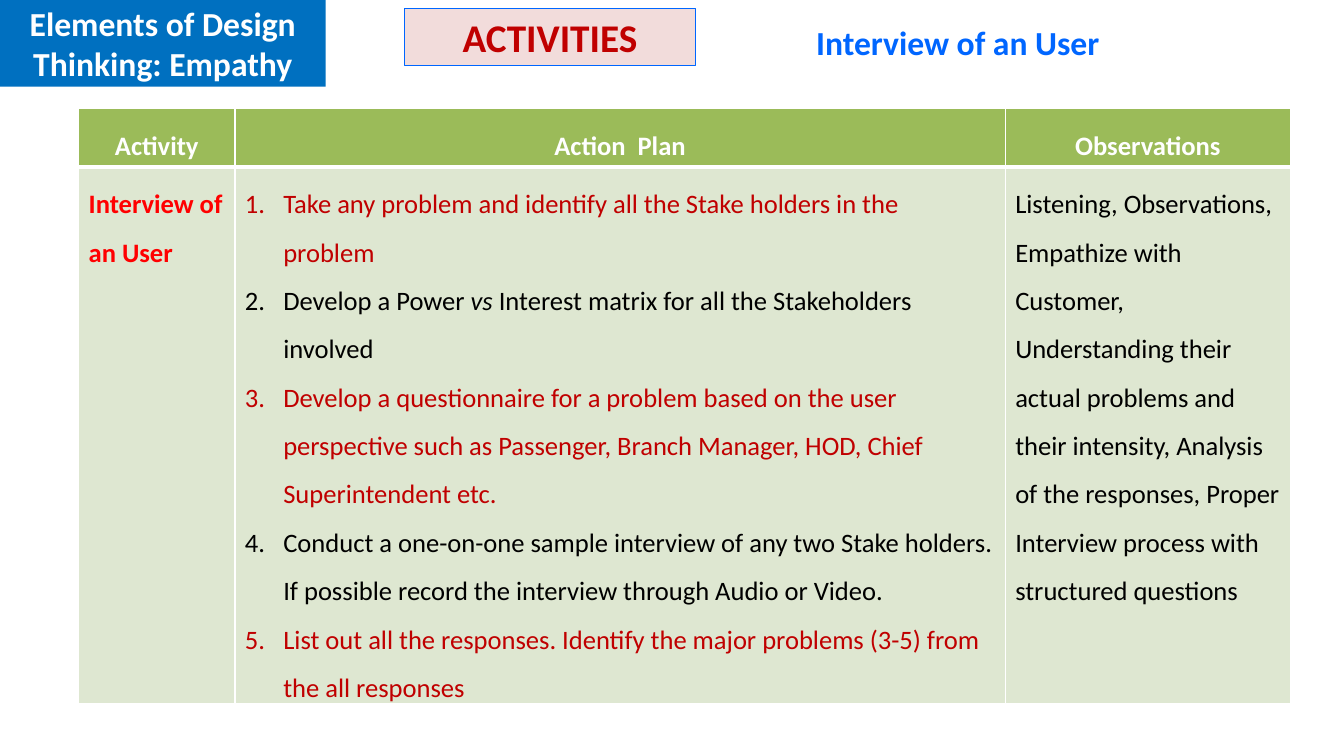
from lxml.etree import SubElement
from pptx import Presentation
from pptx.dml.color import RGBColor
from pptx.enum.shapes import MSO_SHAPE
from pptx.enum.text import MSO_ANCHOR, PP_ALIGN
from pptx.oxml.ns import qn
from pptx.util import Inches, Pt

WHITE = RGBColor(0xFF, 0xFF, 0xFF)
BLACK = RGBColor(0, 0, 0)
RED = RGBColor(0xFF, 0, 0)
DARK_RED = RGBColor(0xC0, 0, 0)
PINK = RGBColor(0xF2, 0xDC, 0xDB)
BLUE = RGBColor(0x00, 0x70, 0xC0)
BRIGHT_BLUE = RGBColor(0x00, 0x66, 0xFF)
GREEN = RGBColor(0x9B, 0xBB, 0x59)
PALE_GREEN = RGBColor(0xDE, 0xE7, 0xD1)

FONT = "Calibri"
TABLE_SIZE = 19
COLUMNS = (1.55, 7.64, 2.83)
ROWS = (0.58, 5.32)
HEADINGS = ("Activity", "Action  Plan", "Observations")
ACTIVITY = "Interview of an User"
# Each step is a list of spans; every second span is italic
STEPS = (
    ["Take any problem and identify all the Stake holders in the problem"],
    ["Develop a Power ", "vs", " Interest matrix for all the Stakeholders involved"],
    ["Develop a questionnaire for a problem based on the user perspective such as "
     "Passenger, Branch Manager, HOD, Chief Superintendent etc."],
    ["Conduct a one-on-one sample interview of any two Stake holders. "
     "If possible record the interview through Audio or Video."],
    ["List out all the responses. Identify the major problems (3-5) from the all responses"],
)
OBSERVATIONS = (
    "Listening, Observations, Empathize with Customer, Understanding their actual "
    "problems and their intensity, Analysis of the responses, Proper Interview "
    "process with structured questions"
)


def style_span(span, size, color, bold=False, italic=False):
    font = span.font
    font.name, font.size = FONT, Pt(size)
    font.bold, font.italic = bold, italic
    font.color.rgb = color


def add_label(slide, box, text, size, color, fill=None, line=None, anchor=MSO_ANCHOR.TOP):
    """Centred bold text, on a rectangle when a fill is given."""
    place = [Inches(length) for length in box]
    if fill is None:
        label = slide.shapes.add_textbox(*place)
    else:
        label = slide.shapes.add_shape(MSO_SHAPE.RECTANGLE, *place)
        label.shadow.inherit = False
        label.fill.solid()
        label.fill.fore_color.rgb = fill
        if line is None:
            label.line.fill.background()
        else:
            label.line.color.rgb = line
            label.line.width = Pt(0.75)
    frame = label.text_frame
    frame.word_wrap = True
    frame.vertical_anchor = anchor
    frame.text = text
    para = frame.paragraphs[0]
    para.alignment = PP_ALIGN.CENTER
    style_span(para.runs[0], size, color, bold=True)


def paint_cell(cell, fill, bottom_width):
    """White borders, then the fill, in the order the schema asks for."""
    properties = cell._tc.get_or_add_tcPr()
    for side, width in (("L", 1), ("R", 1), ("T", 1), ("B", bottom_width)):
        border = SubElement(properties, qn(f"a:ln{side}"), w=str(Pt(width)))
        solid = SubElement(border, qn("a:solidFill"))
        SubElement(solid, qn("a:srgbClr"), val=str(WHITE))
    cell.fill.solid()
    cell.fill.fore_color.rgb = fill


def write_cell(cell, text, color, bold=False, align=PP_ALIGN.LEFT):
    cell.text_frame.text = text
    para = cell.text_frame.paragraphs[0]
    para.alignment = align
    para.line_spacing = 1.5
    style_span(para.runs[0], TABLE_SIZE, color, bold)


def write_steps(cell):
    """Numbered list with alternating colours."""
    frame = cell.text_frame
    indent = Inches(0.38)
    for index, step in enumerate(STEPS):
        para = frame.add_paragraph() if index else frame.paragraphs[0]
        para.line_spacing = 1.5
        color = BLACK if index % 2 else DARK_RED
        for position, text in enumerate(step):
            span = para.add_run()
            span.text = text
            style_span(span, TABLE_SIZE, color, italic=position % 2 == 1)
        properties = para._p.get_or_add_pPr()
        properties.set("marL", str(indent))
        properties.set("indent", str(-indent))
        SubElement(properties, qn("a:buFont"), typeface="+mj-lt")
        SubElement(properties, qn("a:buAutoNum"), type="arabicPeriod")


def add_plan_table(slide, left, top):
    size = Inches(sum(COLUMNS)), Inches(sum(ROWS))
    table = slide.shapes.add_table(
        len(ROWS), len(COLUMNS), Inches(left), Inches(top), *size).table
    for column, width in zip(table.columns, COLUMNS):
        column.width = Inches(width)
    for row, height in zip(table.rows, ROWS):
        row.height = Inches(height)

    # Header and body cells
    for index, heading in enumerate(HEADINGS):
        header, body = table.cell(0, index), table.cell(1, index)
        paint_cell(header, GREEN, bottom_width=3)
        paint_cell(body, PALE_GREEN, bottom_width=1)
        body.margin_bottom = 0
        write_cell(header, heading, WHITE, bold=True, align=PP_ALIGN.CENTER)

    write_cell(table.cell(1, 0), ACTIVITY, RED, bold=True)
    write_steps(table.cell(1, 1))
    write_cell(table.cell(1, 2), OBSERVATIONS, BLACK)


def main():
    deck = Presentation()
    deck.slide_width, deck.slide_height = Inches(13.33), Inches(7.5)
    slide = deck.slides.add_slide(deck.slide_layouts[6])

    # Heading band
    add_label(slide, (0, 0, 3.23, 0.86), "Elements of Design Thinking: Empathy",
              24, WHITE, fill=BLUE, anchor=MSO_ANCHOR.MIDDLE)
    add_label(slide, (4.01, 0.08, 2.89, 0.57), "ACTIVITIES",
              28, DARK_RED, fill=PINK, line=BRIGHT_BLUE)
    add_label(slide, (7.61, 0.17, 3.78, 0.5), ACTIVITY, 24, BRIGHT_BLUE)

    # Action plan
    add_plan_table(slide, 0.78, 1.08)
    deck.save("out.pptx")


if __name__ == "__main__":
    main()
